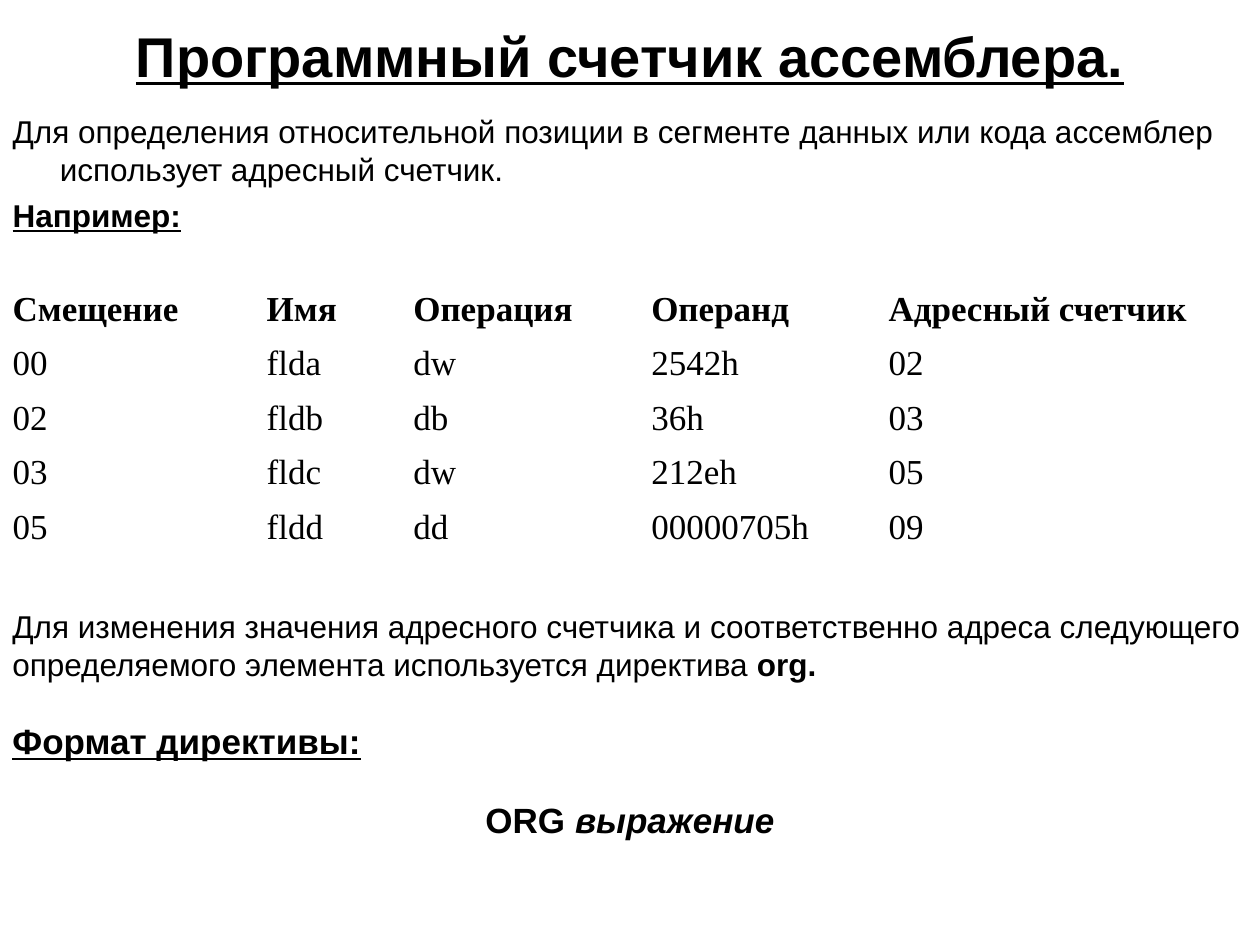
from lxml import etree
from pptx import Presentation
from pptx.dml.color import RGBColor
from pptx.enum.text import MSO_ANCHOR, MSO_AUTO_SIZE, PP_ALIGN
from pptx.oxml.ns import qn
from pptx.util import Pt

CENTER, LEFT = PP_ALIGN.CENTER, PP_ALIGN.LEFT
MIDDLE, TOP = MSO_ANCHOR.MIDDLE, MSO_ANCHOR.TOP
NO_FIT, GROW = MSO_AUTO_SIZE.NONE, MSO_AUTO_SIZE.SHAPE_TO_FIT_TEXT

COLORS = {"text": "000000", "page": "FFFFFF"}
SANS, SERIF = "Arial", "Times New Roman"
PAGE_WIDTH, PAGE_HEIGHT = 720, 540
HANGING = 27

COLUMN_WIDTHS = [145.2, 83.8, 136, 135.6, 219.4]
ROWS = [
    ["Смещение", "Имя", "Операция", "Операнд", "Адресный счетчик"],
    ["00", "flda", "dw", "2542h", "02"],
    ["02", "fldb", "db", "36h", "03"],
    ["03", "fldc", "dw", "212eh", "05"],
    ["05", "fldd", "dd", "00000705h", "09"],
]


def place(shape, box):
    shape.left, shape.top, shape.width, shape.height = map(Pt, box)


def style(font, size, face=SANS, bold=False, underline=False):
    font.size, font.name = Pt(size), face
    font.bold, font.underline = bold, underline
    font.color.rgb = RGBColor.from_string(COLORS["text"])


def add_para(frame, first, text=""):
    para = frame.paragraphs[0] if first else frame.add_paragraph()
    if text:
        para.add_run().text = text
    return para


def hang(para):
    props = para._p.get_or_add_pPr()
    props.set("marL", str(Pt(HANGING)))
    props.set("indent", str(-Pt(HANGING)))
    return props


def fill_title(page, box):
    title = page.shapes.title
    place(title, box)
    frame = title.text_frame
    frame.auto_size, frame.vertical_anchor = NO_FIT, MIDDLE
    para = add_para(frame, True, "Программный счетчик ассемблера.")
    para.alignment = CENTER
    style(para.font, 32, bold=True, underline=True)


def fill_intro(page, box):
    body = page.placeholders[1]
    place(body, box)
    frame = body.text_frame
    frame.auto_size, frame.vertical_anchor = NO_FIT, TOP
    lines = [
        ("Для определения относительной позиции в сегменте данных или кода "
         "ассемблер использует адресный счетчик.", False),
        ("Например:", True),
    ]
    for index, (text, heading) in enumerate(lines):
        para = add_para(frame, index == 0, text)
        para.alignment, para.space_before = LEFT, Pt(4.5)
        etree.SubElement(hang(para), qn("a:buNone"))
        style(para.font, 18, bold=heading, underline=heading)


def add_counter_table(page, box):
    frame = page.shapes.add_table(len(ROWS), len(COLUMN_WIDTHS), *map(Pt, box))
    table = frame.table
    table.first_row = table.horz_banding = False
    for column, width in zip(table.columns, COLUMN_WIDTHS):
        column.width = Pt(width)
    for row_index, texts in enumerate(ROWS):
        table.rows[row_index].height = Pt(box[3] / len(ROWS))
        for column_index, text in enumerate(texts):
            cell = table.cell(row_index, column_index)
            cell.fill.background()
            para = add_para(cell.text_frame, True, text)
            hang(para)
            style(para.font, 20, SERIF, bold=row_index == 0)


def add_directive(page, box):
    frame = page.shapes.add_textbox(*map(Pt, box)).text_frame
    frame.word_wrap, frame.auto_size = True, GROW

    purpose = add_para(
        frame, True,
        "Для изменения значения адресного счетчика и соответственно адреса "
        "следующего определяемого элемента используется директива ")
    style(purpose.font, 18)
    span = purpose.add_run()
    span.text, span.font.bold = "org.", True

    heading = add_para(frame, False, "Формат директивы:")
    style(heading.font, 20, bold=True, underline=True)

    syntax = add_para(frame, False, "ORG ")
    syntax.alignment = CENTER
    style(syntax.font, 20, bold=True)
    span = syntax.add_run()
    span.text, span.font.italic = "выражение", True

    for para in (heading, syntax):
        para.space_before = Pt(21)


def main():
    deck = Presentation()
    deck.slide_width, deck.slide_height = Pt(PAGE_WIDTH), Pt(PAGE_HEIGHT)
    page = deck.slides.add_slide(deck.slide_layouts[1])
    page.background.fill.solid()
    page.background.fill.fore_color.rgb = RGBColor.from_string(COLORS["page"])
    fill_title(page, (0, 0, PAGE_WIDTH, 62.6))
    fill_intro(page, (0, 60.5, PAGE_WIDTH, 108))
    add_counter_table(page, (0, 162, PAGE_WIDTH, 156))
    add_directive(page, (0, 343.5, PAGE_WIDTH, 142))
    deck.save("out.pptx")


if __name__ == "__main__":
    main()
